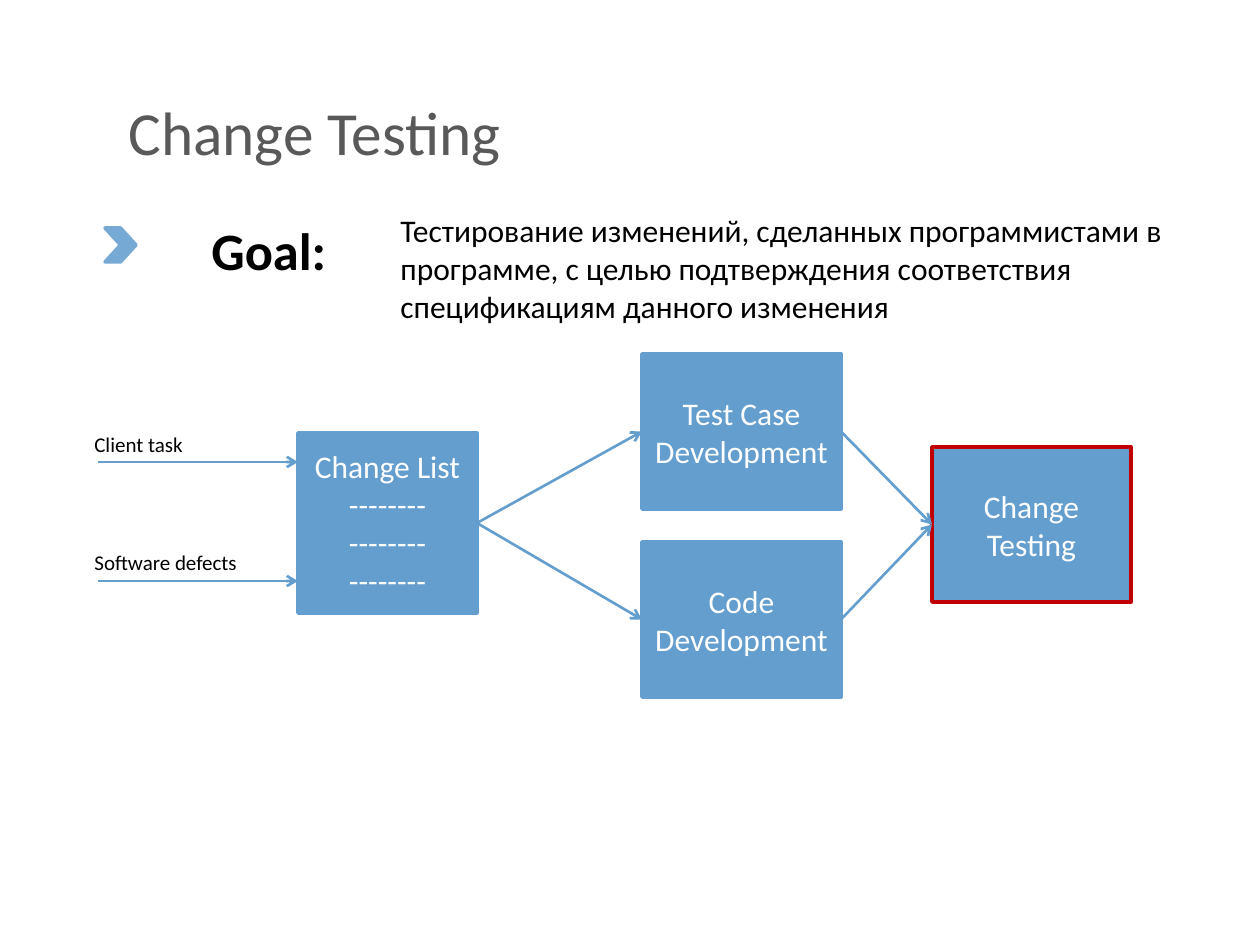
from lxml import etree
from pptx import Presentation
from pptx.dml.color import RGBColor
from pptx.enum.shapes import MSO_CONNECTOR, MSO_SHAPE
from pptx.enum.text import MSO_ANCHOR, MSO_AUTO_SIZE, PP_ALIGN
from pptx.oxml.ns import qn
from pptx.util import Pt

RECTANGLE, CHEVRON = MSO_SHAPE.RECTANGLE, MSO_SHAPE.CHEVRON
STRAIGHT = MSO_CONNECTOR.STRAIGHT
TOP, MIDDLE = MSO_ANCHOR.TOP, MSO_ANCHOR.MIDDLE
LEFT, CENTER = PP_ALIGN.LEFT, PP_ALIGN.CENTER
NO_AUTO_SIZE = MSO_AUTO_SIZE.NONE
LEFT_SITE, RIGHT_SITE = 1, 3
EMU_PER_PIXEL = 914400 / 126

THEME = {
    "font": "Calibri",
    "title": "595959", "text": "000000", "box_text": "FFFFFF",
    "box": "649ECE", "chevron": "76A9D4", "highlight": "C00000",
    "title_size": 35, "goal_size": 30, "body_size": 18, "label_size": 12,
    "outline": 2, "arrow": 1.5,
}

TITLE = ("Change Testing", (116, 88, 402, 87))
GOAL = ("Goal:", (199, 205, 154, 79))
GOAL_TEXT = (
    "Тестирование изменений, сделанных программистами в программе, "
    "с целью подтверждения соответствия спецификациям данного изменения",
    (388, 205, 798, 127),
)
CHEVRON_PLACE = (105, 228, 31, 34)
BOXES = {
    "list": (["Change List"] + ["--------"] * 3, (298, 433, 179, 180), "box"),
    "cases": (["Test Case Development"], (642, 354, 199, 155), "box"),
    "code": (["Code", "Development"], (642, 542, 199, 155), "box"),
    "testing": (["Change Testing"], (932, 447, 199, 155), "highlight"),
}
FLOWS = [("list", "cases"), ("list", "code"), ("cases", "testing"), ("code", "testing")]
INPUTS = [
    ("Client task", (82, 425, 199, 38), 462),
    ("Software defects", (82, 543, 207, 38), 581),
]
INPUT_START = 98


def emu(*pixels):
    return [round(pixel * EMU_PER_PIXEL) for pixel in pixels]


def color(name):
    return RGBColor.from_string(THEME[name])


def write(shape, lines, size, ink, align=LEFT, anchor=TOP, bold=False, spacing=1.0):
    frame = shape.text_frame
    frame.text = "\n".join(lines)
    frame.word_wrap = True
    frame.auto_size = NO_AUTO_SIZE
    frame.vertical_anchor = anchor
    for paragraph in frame.paragraphs:
        paragraph.alignment = align
        paragraph.line_spacing = spacing
        font = paragraph.font
        font.name, font.size, font.bold = THEME["font"], Pt(THEME[size]), bold
        font.color.rgb = color(ink)


def add_text(text, place, size, **options):
    write(slide.shapes.add_textbox(*emu(*place)), [text], size, "text", **options)


def add_filled(kind, place, fill, outline):
    shape = slide.shapes.add_shape(kind, *emu(*place))
    shape.shadow.inherit = False
    shape.fill.solid()
    shape.fill.fore_color.rgb = color(fill)
    shape.line.color.rgb = color(outline)
    shape.line.width = Pt(THEME["outline"])
    return shape


def add_arrow(*ends):
    arrow = slide.shapes.add_connector(STRAIGHT, *emu(*ends))
    arrow.line.color.rgb = color("box")
    arrow.line.width = Pt(THEME["arrow"])
    etree.SubElement(arrow.line._get_or_add_ln(), qn("a:tailEnd"), type="arrow")
    etree.SubElement(arrow._element.spPr, qn("a:effectLst"))
    return arrow


presentation = Presentation()
presentation.slide_width, presentation.slide_height = emu(1260, 945)
slide = presentation.slides.add_slide(presentation.slide_layouts[5])

title_text, title_place = TITLE
title = slide.shapes.title
title.left, title.top, title.width, title.height = emu(*title_place)
write(title, [title_text], "title_size", "title")

add_text(*GOAL, "goal_size", bold=True, spacing=1.1)
add_text(*GOAL_TEXT, "body_size")
add_filled(CHEVRON, CHEVRON_PLACE, "chevron", "chevron")

boxes = {}
for name, (lines, place, outline) in BOXES.items():
    boxes[name] = add_filled(RECTANGLE, place, "box", outline)
    write(boxes[name], lines, "body_size", "box_text", CENTER, MIDDLE)

for source, target in FLOWS:
    arrow = add_arrow(0, 0, 0, 0)
    arrow.begin_connect(boxes[source], RIGHT_SITE)
    arrow.end_connect(boxes[target], LEFT_SITE)

input_end = BOXES["list"][1][0]
for label, place, y in INPUTS:
    add_text(label, place, "label_size")
    add_arrow(INPUT_START, y, input_end, y)

presentation.save("out.pptx")
